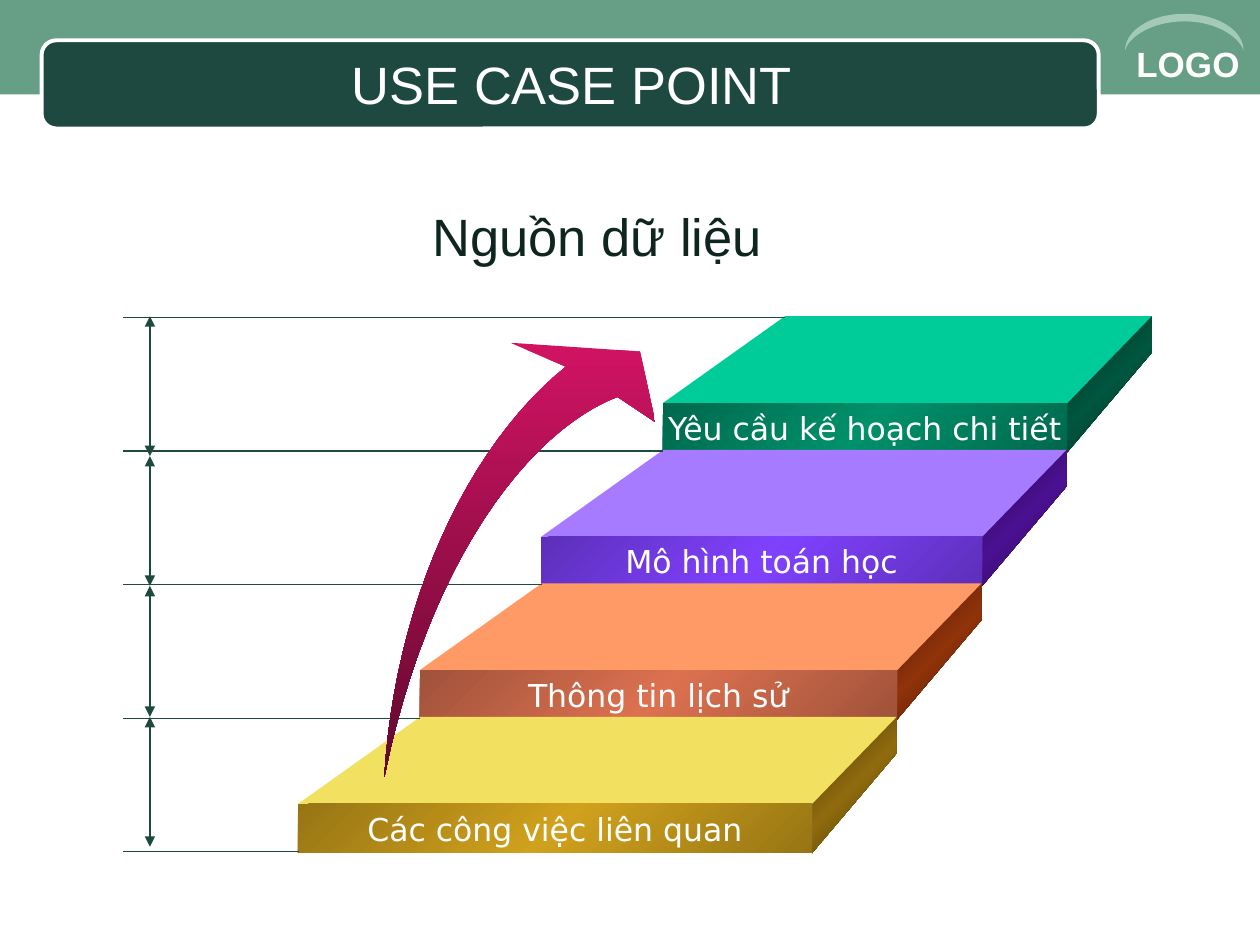
"""Build the USE CASE POINT slide: a four-step staircase of data sources."""
from itertools import pairwise

from lxml.etree import SubElement
from pptx import Presentation
from pptx.dml.color import RGBColor
from pptx.enum.shapes import MSO_CONNECTOR, MSO_SHAPE
from pptx.enum.text import MSO_ANCHOR, PP_ALIGN
from pptx.oxml import parse_xml
from pptx.oxml.ns import nsdecls, qn
from pptx.util import Inches, Pt

COLOURS = {
    "band": "669E86", "dark": "1D4940", "white": "FFFFFF", "arc": "A2CAB4", "heading": "0E2520",
}
ARROW_GRADIENT = ["D11364", "61092E"]
STEPS = [
    {"label": "Yêu cầu kế hoạch chi tiết", "top": "00CC99",
     "front": ("00684D", "00906A"), "side": ("00281D", "00563F")},
    {"label": "Mô hình toán học", "top": "A77BFF",
     "front": ("5D2FB9", "8041FF"), "side": ("230744", "4B1092")},
    {"label": "Thông tin lịch sử", "top": "FF9966",
     "front": ("A0523A", "DC7150"), "side": ("431805", "90330A")},
    {"label": "Các công việc liên quan", "top": "F2E160",
     "front": ("977514", "D0A11C"), "side": ("433206", "906B0E")},
]
LEFT, RIGHT, TOP = 5.26, 8.47, 2.51
LEFT_SHIFT, RIGHT_SHIFT, RISE = 0.965, 0.675, 1.06
DEPTH, SKEW_LEFT, SKEW_RIGHT = 0.69, 0.97, 0.67
FRONT_HEIGHT, BACK_HEIGHT = 0.39, 0.29
GUIDE_LEFT, MEASURE_X = 0.98, 1.19
MEASURE_LEVELS = [2.51, 3.62, 4.65, 5.69, 6.72]

ARROW_OUTER = [((3.05, 6.17), (3.13, 4.8), (3.7, 3.55), (4.49, 2.91))]
ARROW_HEAD = [(4.05, 2.72), (5.08, 2.79), (5.2, 3.35)]
ARROW_INNER = [((4.9, 3.15), (4.2, 3.42), (3.4, 4.45), (3.05, 6.17))]
LOGO_ARC = [
    ((9.87, 0.4), (9.83, 0.29), (9.65, 0.17), (9.4, 0.17)),
    ((9.4, 0.17), (9.15, 0.17), (8.96, 0.29), (8.93, 0.4)),
    ((8.93, 0.4), (8.93, 0.24), (9.14, 0.11), (9.4, 0.11)),
    ((9.4, 0.11), (9.66, 0.11), (9.87, 0.24), (9.87, 0.4)),
]


def curve_points(curves, pieces=24):
    """Return points along a chain of cubic curves."""
    points = []
    for curve in curves:
        for n in range(pieces + 1):
            t = n / pieces
            weights = ((1 - t) ** 3, 3 * t * (1 - t) ** 2, 3 * t * t * (1 - t), t ** 3)
            points.append(tuple(sum(w * p[axis] for w, p in zip(weights, curve)) for axis in (0, 1)))
    return points


def paint(shape, fill, angle=45):
    """Fill a shape with one colour, or with a gradient given as a list."""
    shape.shadow.inherit = False
    shape.line.fill.background()
    if isinstance(fill, str):
        shape.fill.solid()
        shape.fill.fore_color.rgb = RGBColor.from_string(fill)
        return
    shape.fill.gradient()
    gradient = shape.fill._xPr.find(qn("a:gradFill"))
    stops = "".join(
        f'<a:gs pos="{100000 * n // (len(fill) - 1)}"><a:srgbClr val="{colour}"/></a:gs>'
        for n, colour in enumerate(fill))
    gradient.getparent().replace(gradient, parse_xml(
        f'<a:gradFill {nsdecls("a")} rotWithShape="1"><a:gsLst>{stops}</a:gsLst>'
        f'<a:lin ang="{angle * 60000}" scaled="0"/></a:gradFill>'))


def add_outline(shapes, points, fill, angle=45):
    """Draw a closed filled outline."""
    start, *rest = [(Inches(x), Inches(y)) for x, y in points]
    builder = shapes.build_freeform(*start, scale=1.0)
    builder.add_line_segments(rest, close=True)
    paint(builder.convert_to_shape(), fill, angle)


def add_block(shapes, kind, box, fill):
    """Draw a filled preset shape."""
    block = shapes.add_shape(kind, *map(Inches, box))
    paint(block, fill)
    return block


def add_rule(shapes, start, end, arrows=False):
    """Draw a thin line, with arrowheads at both ends if asked."""
    rule = shapes.add_connector(MSO_CONNECTOR.STRAIGHT, *map(Inches, (*start, *end)))
    rule.line.color.rgb = RGBColor.from_string(COLOURS["dark"])
    rule.line.width = Pt(0.75)
    if arrows:
        for tag in ("a:headEnd", "a:tailEnd"):
            SubElement(rule.line._get_or_add_ln(), qn(tag), type="triangle")
    SubElement(rule._element.spPr, qn("a:effectLst"))


def write(shape, text, *, size, colour, font="Arial", bold=False,
          align=PP_ALIGN.CENTER, anchor=MSO_ANCHOR.MIDDLE, wrap=True):
    """Put formatted text in a shape."""
    frame = shape.text_frame
    frame.word_wrap = wrap
    frame.vertical_anchor = anchor
    paragraph = frame.paragraphs[0]
    paragraph.alignment = align
    run = paragraph.add_run()
    run.text = text
    run.font.name = font
    run.font.size = Pt(size)
    run.font.bold = bold
    run.font.color.rgb = RGBColor.from_string(colour)


def add_header(slide):
    """Draw the band, title bar and logo, and place the title on the bar."""
    shapes = slide.shapes
    add_block(shapes, MSO_SHAPE.RECTANGLE, (0, 0, 10, 0.75), COLOURS["band"])
    bar = add_block(shapes, MSO_SHAPE.ROUNDED_RECTANGLE, (0.33, 0.32, 8.39, 0.7), COLOURS["dark"])
    bar.line.color.rgb = RGBColor.from_string(COLOURS["white"])
    bar.line.width = Pt(2.25)
    logo = shapes.add_textbox(*map(Inches, (8.92, 0.29, 1.08, 0.44)))
    write(logo, "LOGO", size=20, colour=COLOURS["white"], bold=True,
          align=PP_ALIGN.LEFT, anchor=MSO_ANCHOR.TOP)
    add_outline(shapes, curve_points(LOGO_ARC), COLOURS["arc"])
    title = shapes.title
    title.left, title.top, title.width, title.height = map(Inches, (0.5, 0.35, 8.08, 0.62))
    write(title, "USE CASE POINT", size=30, colour=COLOURS["white"])
    bar._element.addnext(title._element)


def add_step(shapes, level, step):
    """Draw the side, top and labelled front of one step."""
    left, right = LEFT - LEFT_SHIFT * level, RIGHT - RIGHT_SHIFT * level
    back = TOP + RISE * level
    front = back + DEPTH
    back_right = right + SKEW_RIGHT
    edge, middle = step["side"]
    add_outline(shapes, [(back_right, back + BACK_HEIGHT), (right, front + FRONT_HEIGHT),
                         (right, front), (back_right, back)], [edge, middle, edge])
    add_outline(shapes, [(right, front), (left, front), (left + SKEW_LEFT, back),
                         (back_right, back)], step["top"])
    edge, middle = step["front"]
    face = add_block(shapes, MSO_SHAPE.RECTANGLE, (left, front, right - left, FRONT_HEIGHT),
                     [edge, middle, edge])
    write(face, step["label"], size=18, colour=COLOURS["white"], font="DejaVu Sans", wrap=False)


def main():
    """Assemble and save the slide."""
    deck = Presentation()
    deck.slide_width, deck.slide_height = Inches(10), Inches(7.5)
    slide = deck.slides.add_slide(deck.slide_layouts[5])
    shapes = slide.shapes
    add_header(slide)
    for level, step in enumerate(STEPS):
        add_step(shapes, level, step)
    for level in range(len(STEPS) + 1):
        y = TOP + 0.01 + RISE * level
        add_rule(shapes, (LEFT + SKEW_LEFT - LEFT_SHIFT * level, y), (GUIDE_LEFT, y))
    for upper, lower in pairwise(MEASURE_LEVELS):
        add_rule(shapes, (MEASURE_X, upper), (MEASURE_X, lower), arrows=True)
    add_outline(shapes, curve_points(ARROW_OUTER) + ARROW_HEAD + curve_points(ARROW_INNER),
                ARROW_GRADIENT, angle=90)
    heading = shapes.add_textbox(*map(Inches, (0.7, 1.56, 8.08, 0.62)))
    write(heading, "Nguồn dữ liệu", size=30, colour=COLOURS["heading"])
    deck.save("out.pptx")


if __name__ == "__main__":
    main()
